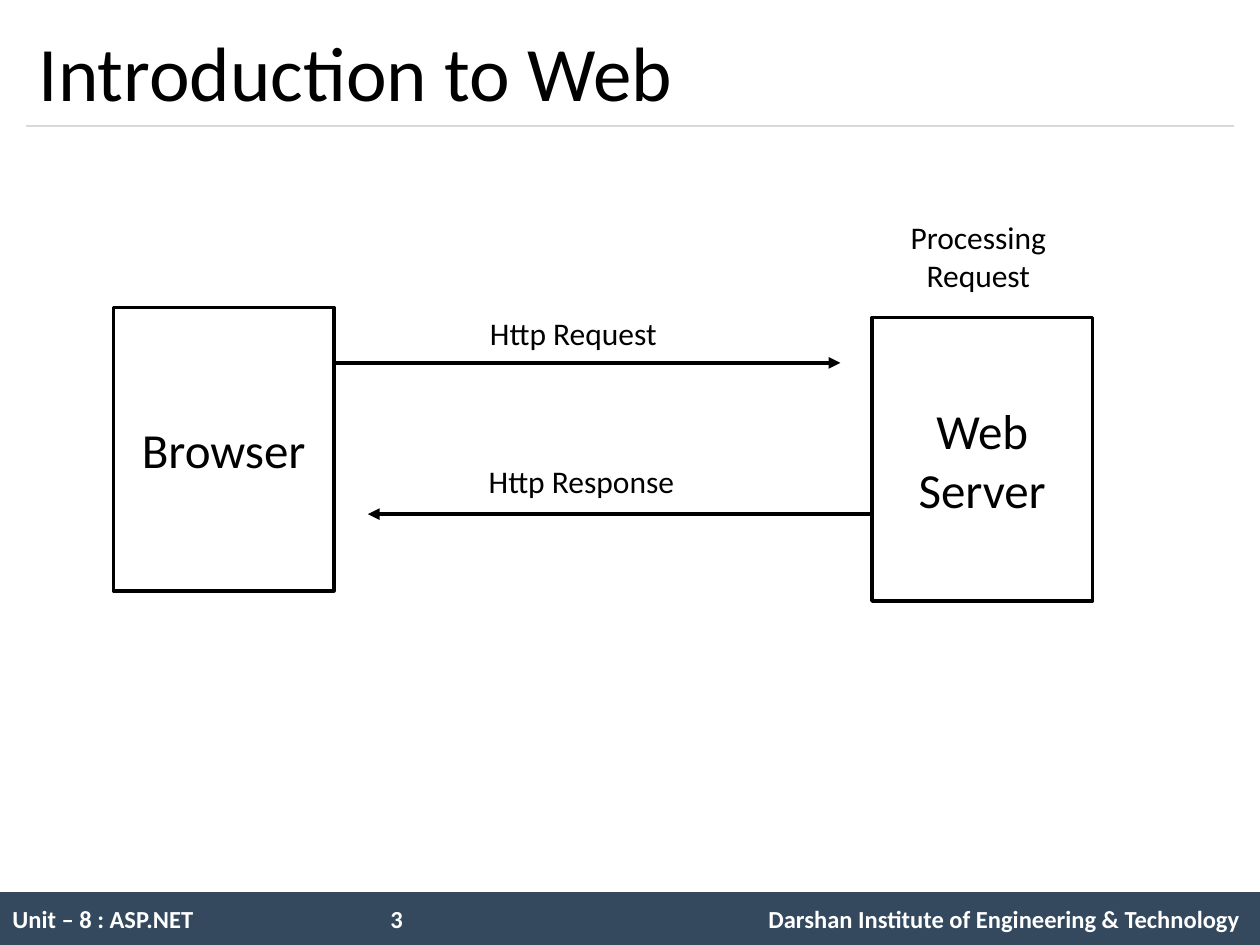
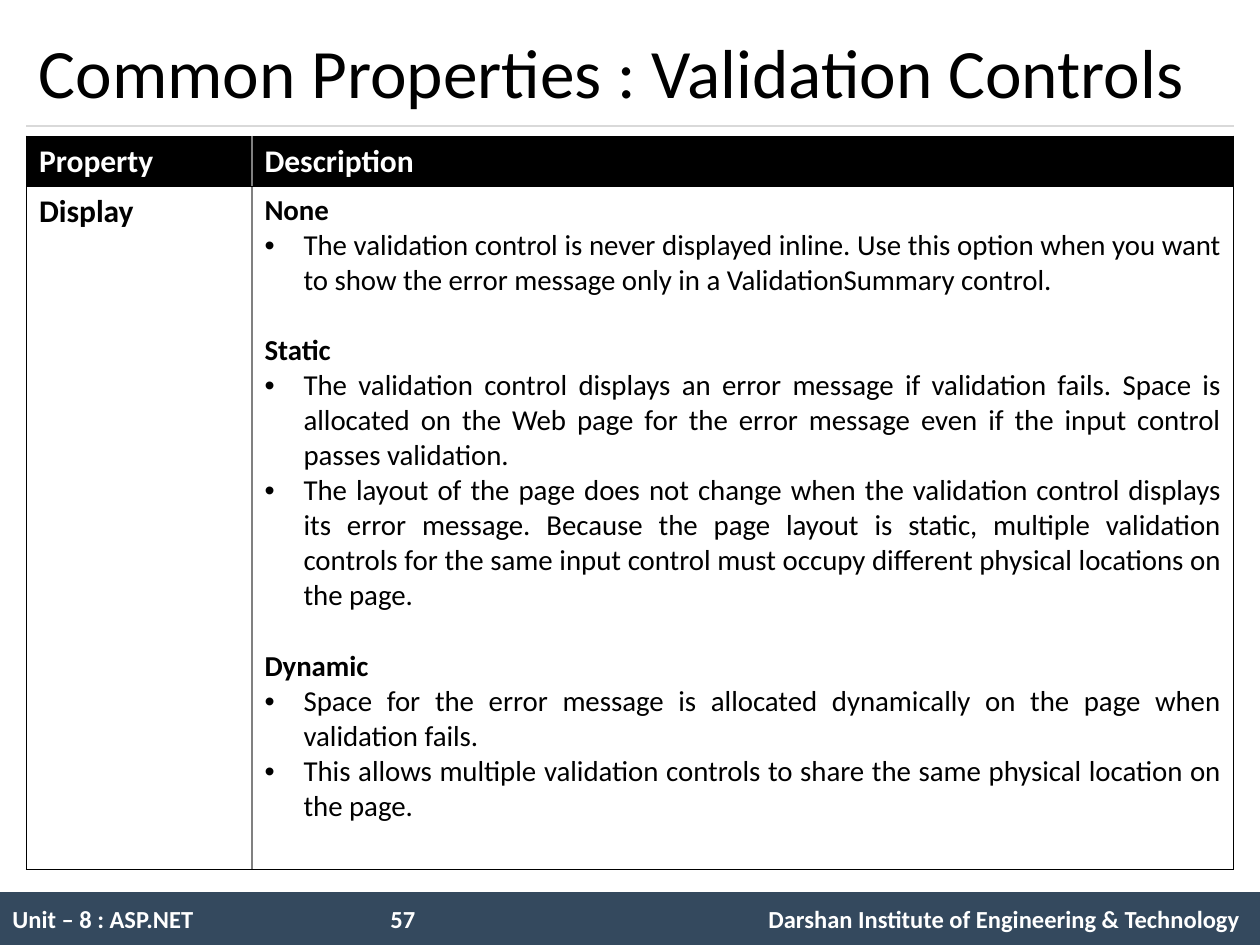
from lxml.etree import SubElement
from pptx import Presentation
from pptx.dml.color import RGBColor
from pptx.enum.shapes import MSO_CONNECTOR, MSO_SHAPE
from pptx.enum.text import MSO_ANCHOR, PP_ALIGN
from pptx.oxml.ns import qn
from pptx.util import Inches, Pt

BLACK, WHITE, NAVY, PALE, GREY = "000000", "FFFFFF", "34495E", "D9D9D9", "808080"
UNIT = "Unit – 8 : ASP.NET"
INSTITUTE = "Darshan Institute of Engineering & Technology"
HANG = Inches(0.31)
DISPLAY_MODES = {
    "None": [
        "The validation control is never displayed inline. Use this option when you want "
        "to show the error message only in a ValidationSummary control.",
    ],
    "Static": [
        "The validation control displays an error message if validation fails. Space is "
        "allocated on the Web page for the error message even if the input control "
        "passes validation.",
        "The layout of the page does not change when the validation control displays its "
        "error message. Because the page layout is static, multiple validation controls "
        "for the same input control must occupy different physical locations on the page.",
    ],
    "Dynamic": [
        "Space for the error message is allocated dynamically on the page when "
        "validation fails.",
        "This allows multiple validation controls to share the same physical location on "
        "the page.",
    ],
}


def rgb(value):
    return RGBColor.from_string(value)


def write(tf, text, size=18, color=BLACK, bold=False, align=PP_ALIGN.LEFT,
          bullet=False, tabs=(), before=0):
    p = tf.paragraphs[0]
    if p.runs:
        p = tf.add_paragraph()
    pPr = p._p.get_or_add_pPr()
    if bullet:
        pPr.set("marL", str(HANG))
        pPr.set("indent", str(-HANG))
        SubElement(pPr, qn("a:buFont"), typeface="Arial")
        SubElement(pPr, qn("a:buChar"), char="•")
    if tabs:
        stops = SubElement(pPr, qn("a:tabLst"))
        for stop in tabs:
            SubElement(stops, qn("a:tab"), pos=str(Inches(stop)), algn="l")
    p.alignment = align
    if before:
        p.space_before = Pt(before)
    r = p.add_run()
    r.text = text
    r.font.name, r.font.size, r.font.bold = "Calibri", Pt(size), bold
    r.font.color.rgb = rgb(color)


class Deck:
    """Holds the presentation, its shared style and the current slide."""

    def __init__(self):
        self.prs = Presentation()
        self.prs.slide_width, self.prs.slide_height = Inches(10), Inches(7.5)

    def slide(self, title, number, size=44):
        self.s = self.prs.slides.add_slide(self.prs.slide_layouts[6])
        self.box(0, 7.08, 10, 0.42, f"{UNIT}\t{number}\t{INSTITUTE}", fill=NAVY,
                 size=14, color=WHITE, bold=True, tabs=(3, 6))
        self.line(0.21, 1, 9.79, 1, PALE, 0.75)
        self.text(0.21, 0.12, 9.58, 0.88, title, anchor=MSO_ANCHOR.MIDDLE, size=size)

    def box(self, x, y, w, h, text, fill=WHITE, line=None, **fmt):
        sp = self.s.shapes.add_shape(MSO_SHAPE.RECTANGLE, Inches(x), Inches(y),
                                     Inches(w), Inches(h))
        sp.shadow.inherit = False
        sp.fill.solid()
        sp.fill.fore_color.rgb = rgb(fill)
        if line:
            sp.line.color.rgb, sp.line.width = rgb(line), Pt(2)
        else:
            sp.line.fill.background()
        sp.text_frame.vertical_anchor = MSO_ANCHOR.MIDDLE
        write(sp.text_frame, text, **fmt)

    def text(self, x, y, w, h, text, anchor=MSO_ANCHOR.TOP, **fmt):
        tf = self.s.shapes.add_textbox(Inches(x), Inches(y), Inches(w),
                                       Inches(h)).text_frame
        tf.word_wrap, tf.vertical_anchor = True, anchor
        write(tf, text, **fmt)

    def line(self, x1, y1, x2, y2, color=BLACK, width=2.25, arrow=False):
        cx = self.s.shapes.add_connector(MSO_CONNECTOR.STRAIGHT, Inches(x1), Inches(y1),
                                         Inches(x2), Inches(y2))
        cx.line.color.rgb, cx.line.width = rgb(color), Pt(width)
        if arrow:
            SubElement(cx.line._get_or_add_ln(), qn("a:tailEnd"), type="triangle")
        SubElement(cx._element.spPr, qn("a:effectLst"))

    def table(self, x, y, cols, rows):
        table = self.s.shapes.add_table(len(rows), len(cols), Inches(x), Inches(y),
                                        Inches(sum(cols)), Inches(sum(rows))).table
        table.first_row = table.horz_banding = False
        for col, w in zip(table.columns, cols):
            col.width = Inches(w)
        for row, h in zip(table.rows, rows):
            row.height = Inches(h)
        for i, row in enumerate(table.rows):
            for j, cell in enumerate(row.cells):
                self.borders(cell, L=j > 0, R=j < len(cols) - 1, T=False, B=False)
                cell.fill.solid()
                cell.fill.fore_color.rgb = rgb(WHITE if i else BLACK)
        return table

    def borders(self, cell, **inner):
        for side, is_inner in inner.items():
            ln = SubElement(cell._tc.get_or_add_tcPr(), qn(f"a:ln{side}"),
                            w=str(Pt(1 if is_inner else 0.75)))
            fill = SubElement(ln, qn("a:solidFill"))
            SubElement(fill, qn("a:srgbClr"), val=GREY if is_inner else BLACK)


def web_slide(deck):
    deck.slide("Introduction to Web", 3)
    for x, y, name in ((0.9, 2.44, "Browser"), (6.92, 2.52, "Web Server")):
        deck.box(x, y, 1.75, 2.25, name, line=BLACK, size=28, align=PP_ALIGN.CENTER)
    deck.line(2.67, 2.88, 6.67, 2.88, arrow=True)
    deck.line(6.92, 4.08, 2.92, 4.08, arrow=True)
    deck.text(3.79, 2.44, 2.42, 0.42, "Http Request")
    deck.text(3.78, 3.62, 2.42, 0.42, "Http Response")
    deck.text(7.1, 1.68, 1.33, 0.7, "Processing Request", align=PP_ALIGN.CENTER)


def validation_slide(deck):
    deck.slide("Common Properties : Validation Controls", 57, size=39.6)
    table = deck.table(0.21, 1.08, (1.79, 7.79), (0.4, 5.42))
    for j, heading in enumerate(("Property", "Description")):
        write(table.cell(0, j).text_frame, heading, color=WHITE, bold=True)
    write(table.cell(1, 0).text_frame, "Display", bold=True)
    tf = table.cell(1, 1).text_frame
    for i, (mode, points) in enumerate(DISPLAY_MODES.items()):
        write(tf, mode, size=16.5, bold=True, before=20.1 if i else 0)
        for point in points:
            write(tf, point, size=16.5, bullet=True, align=PP_ALIGN.JUSTIFY)


def main():
    deck = Deck()
    web_slide(deck)
    validation_slide(deck)
    deck.prs.save("out.pptx")


if __name__ == "__main__":
    main()
